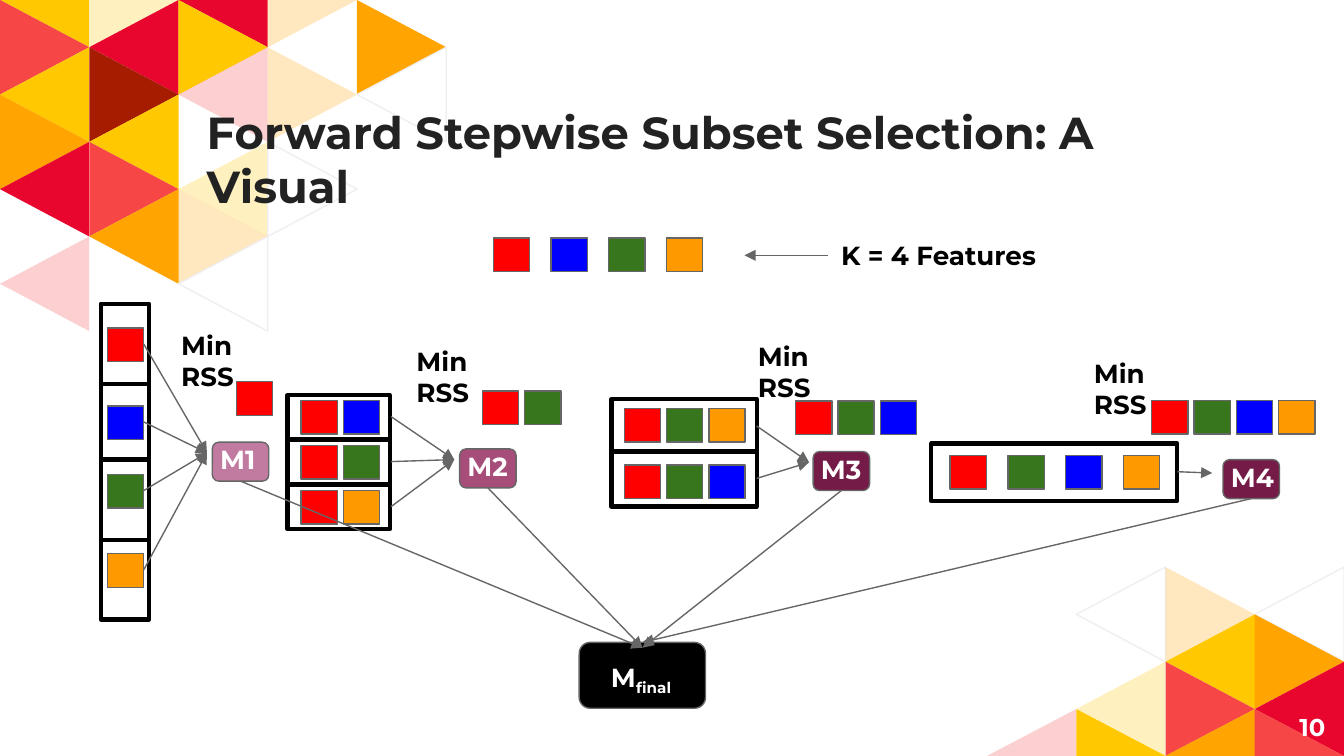
from dataclasses import dataclass

from lxml import etree
from pptx import Presentation
from pptx.dml.color import RGBColor
from pptx.enum import shapes, text
from pptx.oxml import ns
from pptx.util import Inches, Pt


@dataclass(frozen=True)
class Theme:
    """Colours, font and type sizes of the slide."""
    font: str = "Montserrat"
    title: int = 24
    body: int = 14
    page: int = 13
    thin: float = 0.75
    thick: float = 2.25
    ink: str = "222222"
    black: str = "000000"
    white: str = "FFFFFF"
    grey: str = "666666"
    mist: str = "EFEFEF"
    red: str = "FF0000"
    blue: str = "0000FF"
    green: str = "38761D"
    gold: str = "FF9900"
    pink: str = "C27BA0"
    plum: str = "A64D79"
    wine: str = "741B47"


THEME = Theme()
TILES = {"Y": "FFC800", "O": "FFA400", "C": "F64646", "R": "E8062F",
         "D": "A61C00", "W": THEME.white}
HUES = {"r": THEME.red, "b": THEME.blue, "g": THEME.green, "o": THEME.gold}
WIDE, HIGH = 10, 5.625


class Deck:
    """Draws styled elements on the current slide."""

    def __init__(self, theme):
        """Open a deck with one blank slide."""
        self.theme = theme
        self.deck = Presentation()
        self.deck.slide_width, self.deck.slide_height = Inches(WIDE), Inches(HIGH)
        self.slide = self.deck.slides.add_slide(self.deck.slide_layouts[6])

    def paint(self, shape, fill, line=None, width=0.75):
        """Set fill and outline, without a shadow."""
        shape.shadow.inherit = False
        shape.fill.solid()
        shape.fill.fore_color.rgb = RGBColor.from_string(fill)
        if line:
            shape.line.color.rgb = RGBColor.from_string(line)
            shape.line.width = Pt(width)
        else:
            shape.line.fill.background()

    def box(self, x, y, w, h, fill, line, width=0.75, kind="RECTANGLE"):
        """Add a preset shape."""
        shape = self.slide.shapes.add_shape(
            shapes.MSO_SHAPE[kind], Inches(x), Inches(y), Inches(w), Inches(h))
        self.paint(shape, fill, line, width)

    def frame(self, x, y, w, h):
        """Add a white cell with a heavy outline."""
        self.box(x, y, w, h, self.theme.white, self.theme.black, self.theme.thick)

    def row(self, x, y, keys, step=0.315):
        """Add a row of feature squares."""
        for i, key in enumerate(keys):
            self.box(x + i * step, y, 0.27, 0.25, HUES[key], self.theme.grey)

    def label(self, x, y, w, h, runs, size, color, align="LEFT", anchor="TOP"):
        """Add a text box from (text, baseline) runs."""
        shape = self.slide.shapes.add_textbox(
            Inches(x), Inches(y), Inches(w), Inches(h))
        frame = shape.text_frame
        frame.word_wrap = True
        frame.vertical_anchor = text.MSO_ANCHOR[anchor]
        frame.margin_left = frame.margin_right = Inches(0.1)
        frame.margin_top = frame.margin_bottom = Inches(0.1)
        para = frame.paragraphs[0]
        para.alignment = text.PP_ALIGN[align]
        for words, base in runs:
            run = para.add_run()
            run.text = words
            run.font.name = self.theme.font
            run.font.size = Pt(size)
            run.font.bold = True
            run.font.color.rgb = RGBColor.from_string(color)
            if base:
                run.font._element.set("baseline", str(base * 1000))

    def arrow(self, start, end):
        """Add a thin line with a triangle at its end."""
        line = self.slide.shapes.add_connector(
            shapes.MSO_CONNECTOR.STRAIGHT, *map(Inches, (*start, *end)))
        line.line.color.rgb = RGBColor.from_string(self.theme.grey)
        line.line.width = Pt(self.theme.thin)
        etree.SubElement(line.line._get_or_add_ln(), ns.qn("a:tailEnd"), type="triangle")
        etree.SubElement(line._element.spPr, ns.qn("a:effectLst"))

    def model(self, x, y, name, fill):
        """Add a rounded model badge with its name."""
        self.box(x, y, 0.42, 0.29, fill, self.theme.grey, kind="ROUNDED_RECTANGLE")
        self.label(x - 0.04, y - 0.09, 0.6, 0.33, [(name, 0)],
                   self.theme.body, self.theme.white)

    def tile(self, points, key):
        """Add a triangle; a lowercase key is pale."""
        spots = [(Inches(x), Inches(min(max(y, 0), HIGH))) for x, y in points]
        form = self.slide.shapes.build_freeform(*spots[0])
        form.add_line_segments(spots[1:], close=True)
        shape = form.convert_to_shape()
        self.paint(shape, TILES[key.upper()], self.theme.mist if key == "W" else None)
        if key.islower():
            tint = shape._element.spPr.find(".//" + ns.qn("a:srgbClr"))
            etree.SubElement(tint, ns.qn("a:alpha"), val="25000")

    def mosaic(self, left, top, rows, first=0):
        """Add a triangle grid whose tiles alternate in direction."""
        dx, dy = 0.664, 0.352
        for r, keys in enumerate(rows, first):
            for c, key in enumerate(keys):
                if key == ".":
                    continue
                base, tip = (c + 1, c) if (c + r) % 2 else (c, c + 1)
                grid = [(base, r), (base, r + 2), (tip, r + 1)]
                self.tile([(left + p * dx, top + q * dy) for p, q in grid], key)


d = Deck(THEME)
d.mosaic(7.344, 4.22, [".WoW", "..YO", ".yCR", "cYOC"])
d.mosaic(0, 0, ["YyRo", "CRY.O", "YDcoW", "OY", "RCyW", ".Oo", "c.W"], -1)

d.label(1.44, 0.95, 7.06, 0.73, [("Forward Stepwise Subset Selection: A Visual", 0)],
        THEME.title, THEME.ink, anchor="BOTTOM")
d.label(9.36, 5.19, 0.6, 0.43, [("10", 0)], THEME.page, THEME.white, "RIGHT", "MIDDLE")

d.row(3.67, 1.77, "rbgo", 0.43)
d.label(6.16, 1.68, 1.78, 0.43, [("K = 4 Features", 0)], THEME.body, THEME.black)
d.arrow((6.16, 1.9), (5.54, 1.9))

edges = [2.26, 2.86, 3.42, 4.02, 4.61]
for top, end in zip(edges, edges[1:]):
    d.frame(0.75, top, 0.36, end - top)
for y, key in zip([2.44, 3.02, 3.53, 4.12], "rbgo"):
    d.row(0.8, y, key)
    d.arrow((1.07, y + 0.12), (1.54, 3.37))

for i, keys in enumerate(["rb", "rg", "ro"]):
    y = 2.94 + i * 0.335
    d.frame(2.14, y, 0.76, 0.33)
    d.row(2.24, y + 0.04, keys)
    d.arrow((2.91, y + 0.16), (3.38, 3.42))

for y, inset, mid, keys in [(2.97, 0.07, 3.17, "rgo"), (3.36, 0.1, 3.56, "rgb")]:
    d.frame(4.55, y, 1.08, 0.41)
    d.row(4.645, y + inset, keys)
    d.arrow((5.63, mid), (6.02, 3.44))

d.frame(6.93, 3.3, 1.83, 0.43)
d.row(7.07, 3.39, "rgbo", 0.43)
d.arrow((8.76, 3.51), (9.02, 3.52))

d.box(4.31, 4.78, 0.94, 0.49, THEME.black, THEME.grey, kind="ROUNDED_RECTANGLE")
d.label(4.39, 4.82, 0.76, 0.41, [("M", 0), ("final", -25)],
        THEME.body, THEME.white, "CENTER")

stages = [
    ("M1", 1.58, 3.29, THEME.pink, (1.25, 2.35), (1.76, 2.84), "r", 4.82),
    ("M2", 3.42, 3.34, THEME.plum, (3, 2.47), (3.59, 2.91), "rg", 4.82),
    ("M3", 6.05, 3.36, THEME.wine, (5.54, 2.43), (5.92, 2.985), "rgb", 4.82),
    ("M4", 9.1, 3.42, THEME.wine, (8.04, 2.56), (8.57, 2.98), "rgbo", 4.78),
]
for name, x, y, fill, note, best, keys, end in stages:
    d.model(x, y, name, fill)
    d.label(*note, 0.89, 0.43, [("Min RSS", 0)], THEME.body, THEME.black)
    d.row(*best, keys)
    d.arrow((x + 0.21, y + 0.29), (4.78, end))

d.deck.save("out.pptx")
